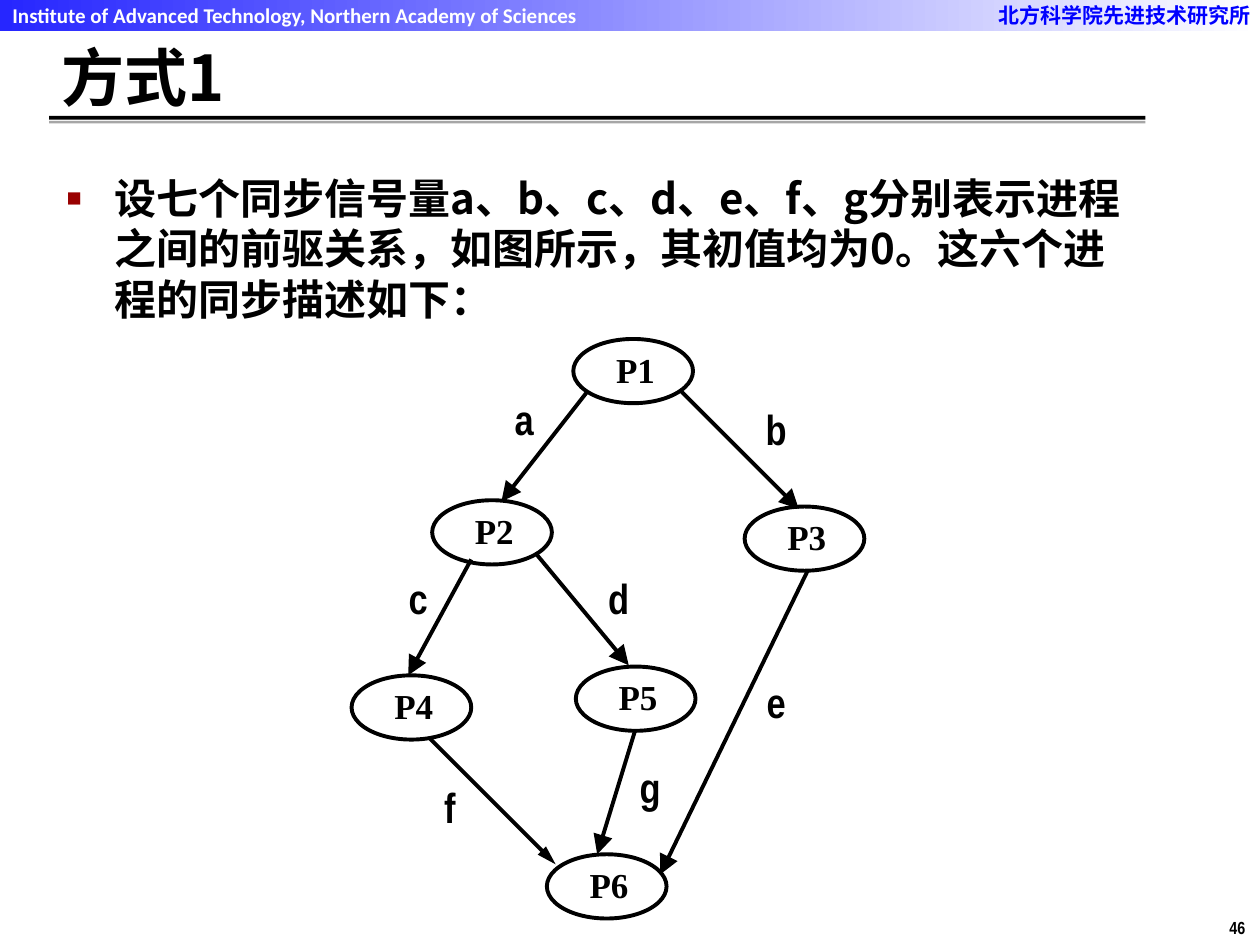
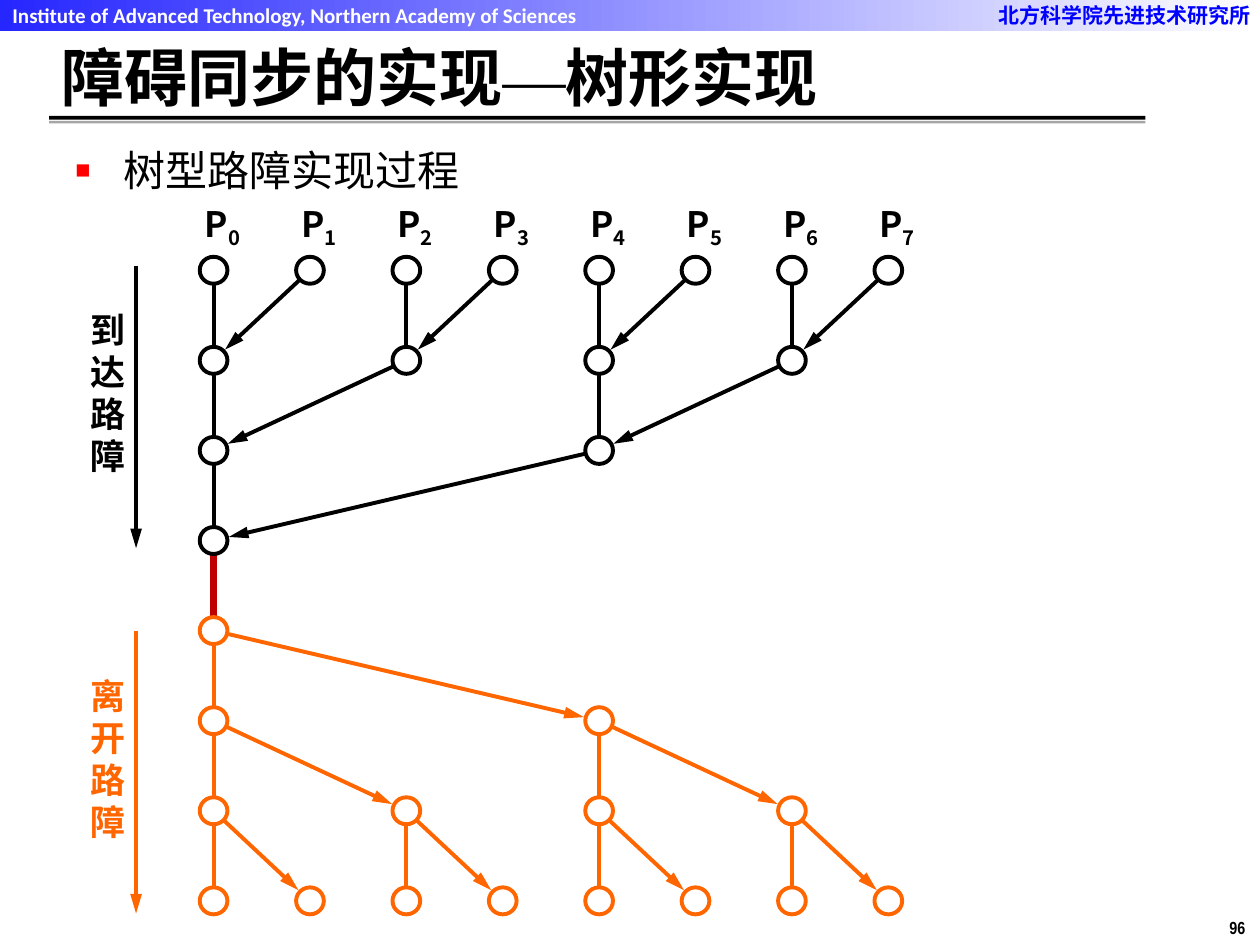
import math

import pptx
import pptx.dml.color
import pptx.enum.shapes
import pptx.enum.text
import pptx.oxml.ns
import pptx.util
from lxml import etree

qn = pptx.oxml.ns.qn
Pt = pptx.util.Pt
RGB = pptx.dml.color.RGBColor.from_string
MSO = pptx.enum.shapes.MSO_SHAPE
ALIGN = pptx.enum.text.PP_ALIGN
ANCHOR = pptx.enum.text.MSO_ANCHOR

CJK = "Noto Sans CJK SC"
THEME = {
    "black": "000000", "white": "FFFFFF", "grey": "A6A6A6", "blue": "0000FF",
    "band": ("2626FF", "FFFFFF"), "leave": "FF6600", "barrier": "C00000",
    "bullet1": "990000", "bullet2": "FF0000",
    "line": 2.25, "thick": 4.5, "leading": 1.2, "before": 2.4,
    "title": {"name": CJK, "size": Pt(36), "bold": True},
    "dash": {"name": "Times New Roman", "bold": False},
    "body": {"name": CJK, "size": Pt(24), "bold": True},
    "plain": {"name": CJK, "size": Pt(24), "bold": False},
    "label": {"name": CJK, "size": Pt(20), "bold": True},
    "header": {"name": CJK, "size": Pt(12), "bold": True},
    "header_en": {"name": "Calibri", "size": Pt(12), "bold": True},
    "number": {"name": "Arial Narrow", "size": Pt(10), "bold": True},
    "edge": {"name": "Arial Narrow", "size": Pt(24), "bold": True},
    "node": {"name": "Times New Roman", "size": Pt(20), "bold": True},
}

# Grid of 100 columns by 75 rows; every length below counts its cells
prs = pptx.Presentation()
prs.slide_width, prs.slide_height = pptx.util.Inches(10), pptx.util.Inches(7.5)
CELL = prs.slide_width / 100


def add(s, kind, box, runs=(), style="label", color="black", fill=None,
        line=None, bullet=None, para=None, frame=None):
    """Add a preset shape, or a text box if kind is None; runs are (text, changes)."""
    pos = [round(v * CELL) for v in box]
    if kind is None:
        sp = s.shapes.add_textbox(*pos)
    else:
        sp = s.shapes.add_shape(kind, *pos)
        sp.shadow.inherit = False
        if fill:
            sp.fill.solid()
            sp.fill.fore_color.rgb = RGB(THEME[fill])
        else:
            sp.fill.background()
        if line:
            sp.line.color.rgb = RGB(THEME[line])
            sp.line.width = Pt(THEME["line"])
        else:
            sp.line.fill.background()
    if not runs:
        return sp
    tf = sp.text_frame
    for key, value in {"word_wrap": True, "vertical_anchor": ANCHOR.TOP, **(frame or {})}.items():
        setattr(tf, key, value)
    p = tf.paragraphs[0]
    base = THEME[style]
    form = {"alignment": ALIGN.LEFT}
    if base["name"] == CJK and style != "title":
        form.update(line_spacing=Pt(base["size"].pt * THEME["leading"]),
                    space_before=Pt(THEME["before"]))
    for key, value in {**form, **(para or {})}.items():
        setattr(p, key, value)
    for words, changes in runs:
        r = p.add_run()
        r.text = words
        font = {**base, **changes}
        offset = font.pop("baseline", None)
        for key, value in font.items():
            setattr(r.font, key, value)
        r.font.color.rgb = RGB(THEME[color])
        rPr = r._r.get_or_add_rPr()
        etree.SubElement(rPr, qn("a:ea"), typeface=font["name"])
        if offset:
            rPr.set("baseline", str(offset))
    if bullet:
        pPr = p._p.get_or_add_pPr()
        hang = round(3.8 * CELL)
        pPr.set("marL", str(hang))
        pPr.set("indent", str(-hang))
        clr = etree.SubElement(pPr, qn("a:buClr"))
        etree.SubElement(clr, qn("a:srgbClr"), val=THEME[bullet])
        etree.SubElement(pPr, qn("a:buSzPct"), val="60000")
        etree.SubElement(pPr, qn("a:buFont"), typeface="Arial")
        etree.SubElement(pPr, qn("a:buChar"), char="■")
    return sp


def link(s, start, end, color="black", width="line", head=None):
    """Draw a straight line; head is the arrowhead width (med or lg)."""
    cx = s.shapes.add_connector(pptx.enum.shapes.MSO_CONNECTOR.STRAIGHT,
                                *[round(v * CELL) for v in (*start, *end)])
    cx.line.color.rgb = RGB(THEME[color])
    cx.line.width = Pt(THEME[width])
    if head:
        etree.SubElement(cx.line._get_or_add_ln(), qn("a:tailEnd"),
                         type="triangle", w=head, len="lg")
    etree.SubElement(cx._element.spPr, qn("a:effectLst"))


# Shared frame: band, header texts, title with double rule, page number
pages = [
    ("46", [("方式1", {})]),
    ("96", [("障碍同步的实现", {}), ("—", THEME["dash"]), ("树形实现", {})]),
]
slides = []
for number, title in pages:
    s = prs.slides.add_slide(prs.slide_layouts[6])
    slides.append(s)
    band = add(s, MSO.RECTANGLE, (0, 0, 100, 2.5))
    band.fill.gradient()
    band.fill.gradient_angle = 0
    for stop, color, place in zip(band.fill.gradient_stops, THEME["band"], (0, 1)):
        stop.color.rgb = RGB(color)
        stop.position = place
    add(s, None, (78.3, -0.3, 22.4, 3), [("北方科学院先进技术研究所", {})], "header", "blue")
    add(s, None, (0, -0.3, 47.5, 3),
        [("Institute of Advanced Technology, Northern Academy of Sciences", {})],
        "header_en", "white")
    add(s, None, (96.6, 72.3, 3.4, 2.7), [(number, {})], "number", frame={"word_wrap": False})
    for top, height, color in ((9.2, 0.3, "black"), (9.6, 0.2, "grey")):
        add(s, MSO.RECTANGLE, (3.9, top, 87, height), fill=color)
    add(s, None, (3.9, 3.3, 86.8, 5.6), title, "title", frame={"vertical_anchor": ANCHOR.MIDDLE})
graph, tree = slides

# Slide 1: statement and precedence graph
add(graph, None, (4.3, 13.2, 86.4, 58.4),
    [("设七个同步信号量a、b、c、d、e、f、g分别表示进程之间的前驱关系，如图所示，"
      "其初值均为0。这六个进程的同步描述如下：", {})], "body", bullet="bullet1")

no_margin = dict.fromkeys(("margin_left", "margin_top", "margin_right", "margin_bottom"), 0)
nodes = {"P1": (45.5, 26.9), "P2": (34.3, 39.7), "P3": (59.1, 40.2),
         "P4": (27.9, 53.6), "P5": (45.7, 52.9), "P6": (43.4, 67.8)}
for name, corner in nodes.items():
    add(graph, MSO.OVAL, (*corner, 9.5, 5.1), [(name, {})], "node", fill="white", line="black",
        frame={**no_margin, "margin_left": round(2 * CELL)})

# Each edge: name, label corner, start, end, arrowhead width
edges = [
    ("a", (39.1, 31.1), (46.6, 31.1), (39.8, 39.8), "lg"),
    ("b", (59.1, 31.9), (54.1, 31.1), (63.4, 40.4), "lg"),
    ("c", (30.7, 45.3), (37.4, 44.4), (32.4, 53.6), "lg"),
    ("d", (46.6, 45.3), (42.5, 43.9), (49.9, 52.8), "lg"),
    ("e", (59.1, 53.6), (64.1, 45.3), (52.4, 69.4), "lg"),
    ("f", (33.2, 61.9), (34.1, 58.6), (44.1, 68.6), "med"),
    ("g", (49.1, 60.3), (50.4, 58), (47.4, 67.8), "lg"),
]
for name, corner, start, end, head in edges:
    link(graph, start, end, head=head)
    add(graph, None, (*corner, 5, 4.2), [(name, {})], "edge", para={"alignment": ALIGN.CENTER},
        frame={**no_margin, "word_wrap": False, "vertical_anchor": ANCHOR.MIDDLE})

# Slide 2: tree barrier, 8 process columns by 8 rows
add(tree, None, (5, 11, 81.1, 5.8), [("树型路障实现过程", {})], "plain", bullet="bullet2")
xs = [16.95 + 7.65 * i for i in range(8)]
ys = [21.45 + 7.15 * k for k in range(8)]
DIAMETER, RADIUS = 2.2, 1.07
link(tree, (xs[0], ys[3] + RADIUS), (xs[0], ys[4] - RADIUS), "barrier", "thick")
for i, x in enumerate(xs):
    add(tree, None, (x - 1.85, 16, 5.1, 4.4), [("P", {}), (str(i), {"baseline": -25000})],
        para={"alignment": ALIGN.CENTER})

# Arrival merges downwards; leaving is its mirror, with arrows turned round
for color, rows, leaving in (("black", ys, False), ("leave", ys[::-1], True)):
    for level in range(4):
        y = rows[level]
        for i in range(0, 8, 2 ** level):
            add(tree, MSO.OVAL, (xs[i] - DIAMETER / 2, y - RADIUS, DIAMETER, 2 * RADIUS),
                line=color)
            if level == 0:
                continue
            before = rows[level - 1]
            top, bottom = sorted((y, before))
            link(tree, (xs[i], top + RADIUS), (xs[i], bottom - RADIUS), color)
            child, parent = (xs[i + 2 ** (level - 1)], before), (xs[i], y)
            (x1, y1), (x2, y2) = (parent, child) if leaving else (child, parent)
            length = math.hypot(x2 - x1, y2 - y1)
            dx, dy = (x2 - x1) / length, (y2 - y1) / length
            link(tree, (x1 + 1.1 * dx, y1 + 1.1 * dy), (x2 - 1.25 * dx, y2 - 1.25 * dy),
                 color, head="med")

# Phase arrows with stacked captions
for caption, color, top in (("到达路障", "black", 21.1), ("离开路障", "leave", 50.1)):
    link(tree, (10.8, top), (10.8, top + 22.4), color, head="med")
    add(tree, None, (5.7, top + 2.9, 5.8, 14.5), [(caption, {})], color=color,
        para={"alignment": ALIGN.CENTER})

prs.save("out.pptx")
